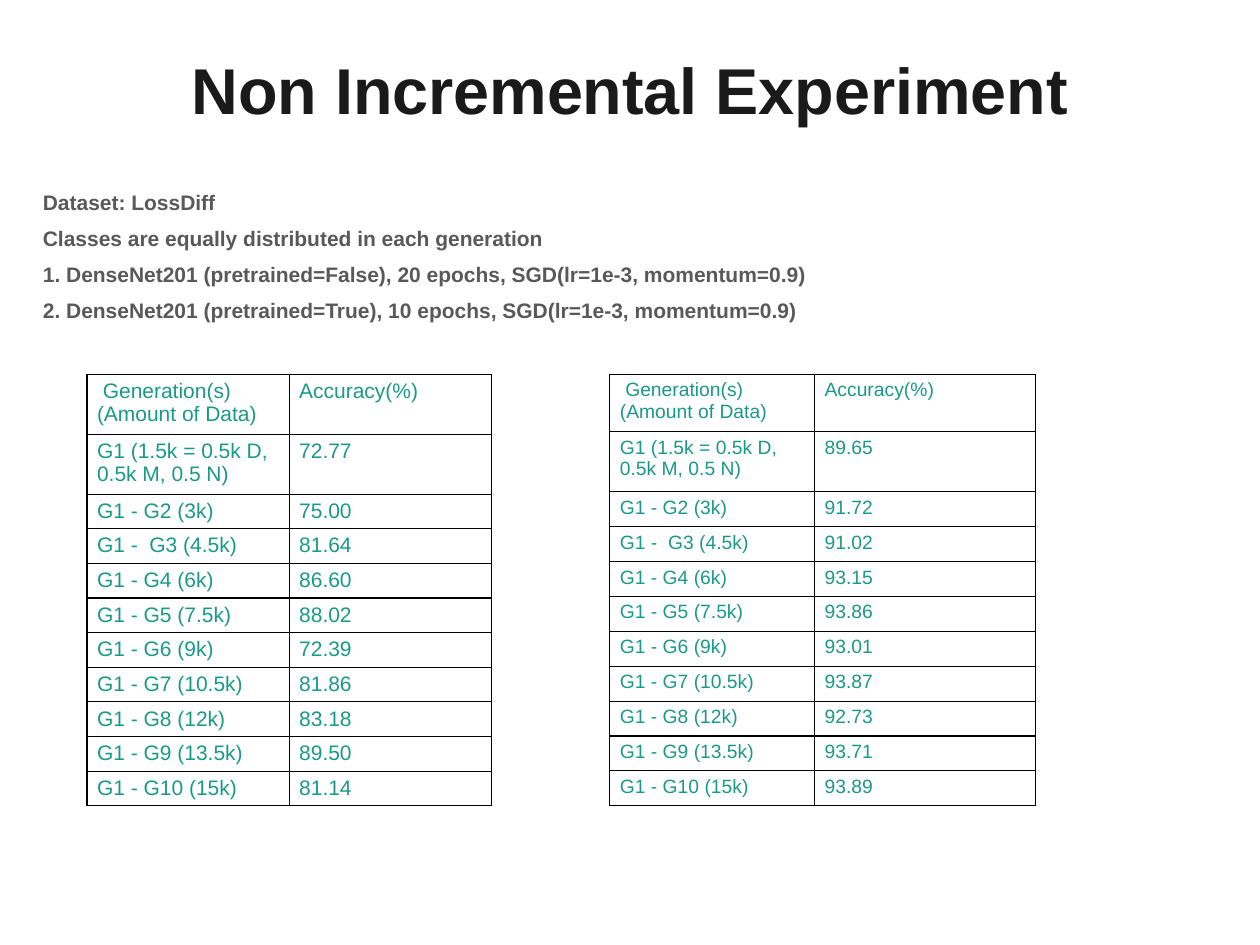
import dataclasses

import lxml.etree
import pptx
import pptx.dml.color
import pptx.enum.text
import pptx.oxml.ns
import pptx.util

WIDTH = pptx.util.Inches(10)
HEIGHT = pptx.util.Inches(7.5)


@dataclasses.dataclass(frozen=True)
class Theme:
    font: str = "Arial"
    title_color: str = "1A1A1A"
    body_color: str = "595959"
    table_color: str = "1A9988"
    border_color: str = "000000"
    title_size: float = 37
    body_size: float = 12
    border_width: float = 0.75
    line_spacing: float = 0.9
    paragraph_gap: float = 7.5


THEME = Theme()

TITLE = "Non Incremental Experiment"
SETUP = [
    "Dataset: LossDiff",
    "Classes are equally distributed in each generation",
    "1. DenseNet201 (pretrained=False), 20 epochs, SGD(lr=1e-3, momentum=0.9)",
    "2. DenseNet201 (pretrained=True), 10 epochs, SGD(lr=1e-3, momentum=0.9)",
]
HEADER = (" Generation(s) (Amount of Data)", "Accuracy(%)")
GENERATIONS = [
    "G1 (1.5k = 0.5k D, 0.5k M, 0.5 N)",
    "G1 - G2 (3k)",
    "G1 -  G3 (4.5k)",
    "G1 - G4 (6k)",
    "G1 - G5 (7.5k)",
    "G1 - G6 (9k)",
    "G1 - G7 (10.5k)",
    "G1 - G8 (12k)",
    "G1 - G9 (13.5k)",
    "G1 - G10 (15k)",
]
UNTRAINED_ACCURACY = ["72.77", "75.00", "81.64", "86.60", "88.02",
                      "72.39", "81.86", "83.18", "89.50", "81.14"]
PRETRAINED_ACCURACY = ["89.65", "91.72", "91.02", "93.15", "93.86",
                       "93.01", "93.87", "92.73", "93.71", "93.89"]


def across(percent):
    return round(WIDTH * percent / 100)


def down(percent):
    return round(HEIGHT * percent / 100)


def place(shape, left, top, width, height):
    """Position a shape by percentages of the slide's size."""
    shape.left, shape.top = across(left), down(top)
    shape.width, shape.height = across(width), down(height)


def set_margins(holder, side, end):
    holder.margin_left = holder.margin_right = pptx.util.Inches(side)
    holder.margin_top = holder.margin_bottom = pptx.util.Inches(end)


def format_runs(para, size, color, bold=False):
    for span in para.runs:
        span.font.name = THEME.font
        span.font.size = pptx.util.Pt(size)
        span.font.bold = bold
        span.font.color.rgb = pptx.dml.color.RGBColor.from_string(color)


def fill_frame(frame, lines, size, color, align, anchor):
    frame.text = "\n".join(lines)
    frame.word_wrap = True
    frame.auto_size = pptx.enum.text.MSO_AUTO_SIZE.NONE
    frame.vertical_anchor = anchor
    set_margins(frame, 0.07, 0.04)
    for index, para in enumerate(frame.paragraphs):
        para.alignment = align
        para.line_spacing = THEME.line_spacing
        para.space_before = pptx.util.Pt(THEME.paragraph_gap if index else 0)
        format_runs(para, size, color, bold=True)


def add_title(page):
    title = page.shapes.title
    place(title, 6.9, 2.67, 86.2, 14.53)
    fill_frame(title.text_frame, [TITLE], THEME.title_size, THEME.title_color,
               pptx.enum.text.PP_ALIGN.CENTER,
               pptx.enum.text.MSO_ANCHOR.MIDDLE)


def add_setup(page):
    box = page.shapes.add_textbox(0, 0, 0, 0)
    place(box, 2.7, 19.87, 86.2, 47.6)
    fill_frame(box.text_frame, SETUP, THEME.body_size, THEME.body_color,
               pptx.enum.text.PP_ALIGN.LEFT, pptx.enum.text.MSO_ANCHOR.TOP)


def add_borders(cell):
    """Draw all four cell borders; they must precede the fill in the XML."""
    properties = cell._tc.get_or_add_tcPr()
    name = pptx.oxml.ns.qn
    for index, side in enumerate(("a:lnL", "a:lnR", "a:lnT", "a:lnB")):
        line = lxml.etree.Element(
            name(side), w=str(pptx.util.Pt(THEME.border_width)))
        fill = lxml.etree.SubElement(line, name("a:solidFill"))
        lxml.etree.SubElement(fill, name("a:srgbClr"), val=THEME.border_color)
        properties.insert(index, line)


def format_cell(cell, text, size):
    cell.text = text
    set_margins(cell, 0.08, 0.04)
    cell.vertical_anchor = pptx.enum.text.MSO_ANCHOR.TOP
    cell.fill.background()
    add_borders(cell)
    format_runs(cell.text_frame.paragraphs[0], size, THEME.table_color)


def add_results(page, left, column_widths, header_height, accuracies, size):
    rows = [HEADER, *zip(GENERATIONS, accuracies)]
    total_height, first_height = 45.7, 6.35
    other_height = (total_height - header_height - first_height) / (len(rows) - 2)
    table = page.shapes.add_table(
        len(rows), len(HEADER), across(left), down(39.6),
        across(sum(column_widths)), down(total_height)).table
    table.first_row = table.horz_banding = False
    for column, width in zip(table.columns, column_widths):
        column.width = across(width)
    for index, values in enumerate(rows):
        height = (header_height, first_height)[index] if index < 2 else other_height
        table.rows[index].height = down(height)
        for column, text in enumerate(values):
            format_cell(table.cell(index, column), text, size)


def main():
    deck = pptx.Presentation()
    deck.slide_width, deck.slide_height = WIDTH, HEIGHT
    page = deck.slides.add_slide(deck.slide_layouts.get_by_name("Title Only"))
    add_title(page)
    add_setup(page)
    add_results(page, 6.9, (16.05, 16.05), 6.35, UNTRAINED_ACCURACY, size=12)
    add_results(page, 48.4, (16.25, 17.5), 6.1, PRETRAINED_ACCURACY, size=11)
    deck.save("out.pptx")


if __name__ == "__main__":
    main()
